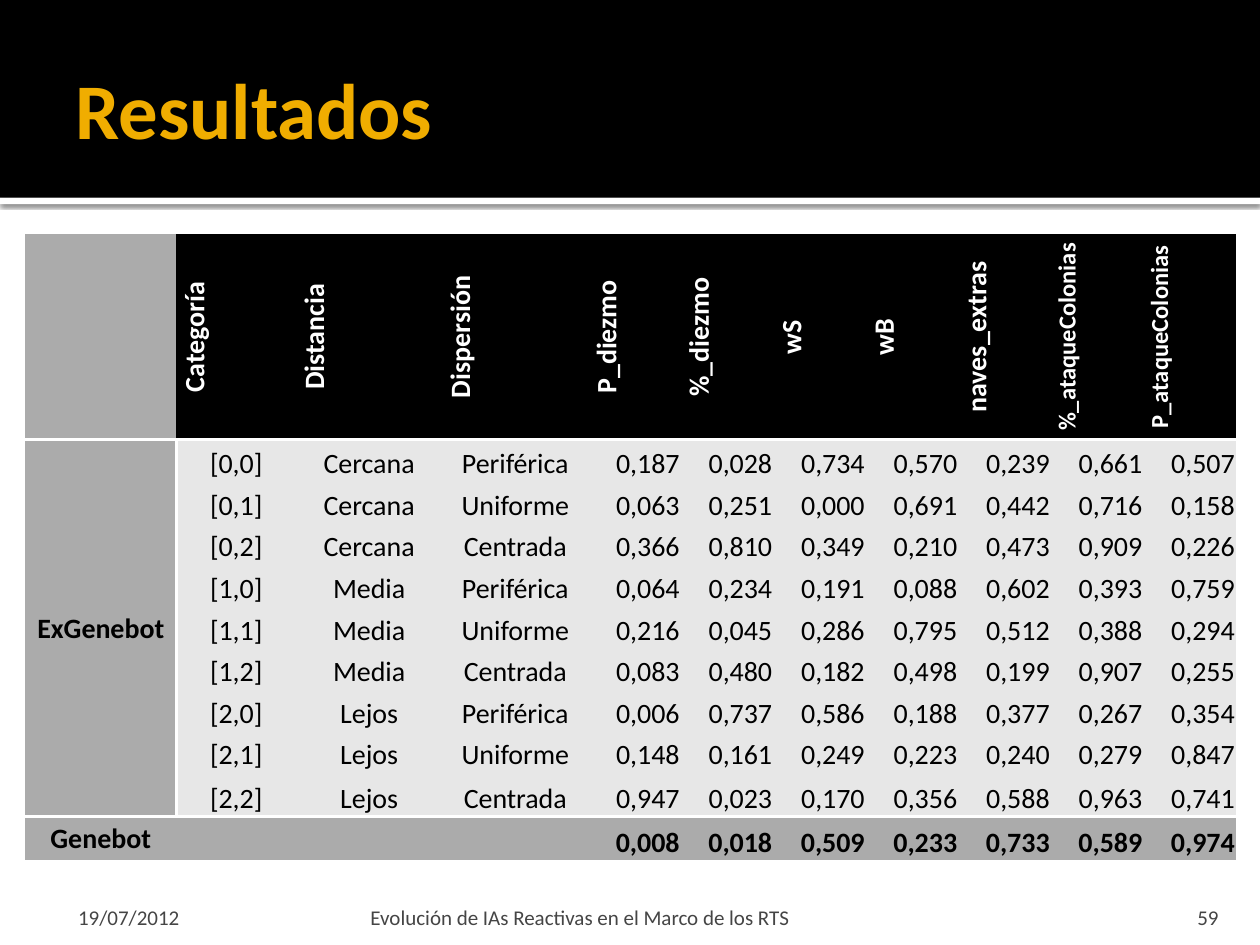
from lxml.etree import SubElement
from pptx import Presentation
from pptx.dml.color import RGBColor
from pptx.enum.shapes import MSO_SHAPE
from pptx.enum.text import MSO_ANCHOR, PP_ALIGN
from pptx.oxml.ns import qn
from pptx.util import Inches, Pt

FONT = "Calibri"
BLACK, WHITE, GOLD, FOOTER_GREY = "000000", "FFFFFF", "F0AD00", "454545"
LABEL_GREY, BODY_GREY = "ABABAB", "E7E7E7"
NO_STYLE = "{2D5ABB26-0587-4C30-8999-92F81FD0307C}"

# text, place, margins, size, colour, bold, anchor, alignment
TEXTS = [
    ("Resultados", (0.5, 0.17, 9, 1.37), (0.1, 0.05, 0.05, 0.05),
     45, GOLD, True, MSO_ANCHOR.MIDDLE, PP_ALIGN.LEFT),
    ("19/07/2012", (0.5, 7.08, 2.33, 0.3), (0.12, 0.05, 0.05, 0),
     12, FOOTER_GREY, False, MSO_ANCHOR.BOTTOM, PP_ALIGN.LEFT),
    ("Evolución de IAs Reactivas en el Marco de los RTS", (2.89, 7.08, 6.02, 0.3),
     (0.05, 0.05, 0.05, 0), 12, FOOTER_GREY, False, MSO_ANCHOR.BOTTOM, PP_ALIGN.LEFT),
    ("59", (8.97, 7.08, 0.8, 0.3), (0.1, 0.05, 0.1, 0),
     12, FOOTER_GREY, False, MSO_ANCHOR.BOTTOM, PP_ALIGN.RIGHT),
]

HEADERS = ["", "Categoría", "Distancia", "Dispersión", "P_diezmo", "%_diezmo", "wS", "wB",
           "naves_extras", "%_ataqueColonias", "P_ataqueColonias"]
DISTANCES = ["Cercana", "Media", "Lejos"]
DISPERSIONS = ["Periférica", "Uniforme", "Centrada"]
EXGENEBOT = [
    "0,187 0,028 0,734 0,570 0,239 0,661 0,507",
    "0,063 0,251 0,000 0,691 0,442 0,716 0,158",
    "0,366 0,810 0,349 0,210 0,473 0,909 0,226",
    "0,064 0,234 0,191 0,088 0,602 0,393 0,759",
    "0,216 0,045 0,286 0,795 0,512 0,388 0,294",
    "0,083 0,480 0,182 0,498 0,199 0,907 0,255",
    "0,006 0,737 0,586 0,188 0,377 0,267 0,354",
    "0,148 0,161 0,249 0,223 0,240 0,279 0,847",
    "0,947 0,023 0,170 0,356 0,588 0,963 0,741",
]
GENEBOT = "0,008 0,018 0,509 0,233 0,733 0,589 0,974"

TABLE_PLACE = (0.2, 1.86, 9.61, 4.96)
TEXT_WIDTHS = [1.2, 0.95, 1.16, 1.16]
VALUE_COLUMNS = 7
ROW_HEIGHTS = [1.63] + [0.33] * 8 + [0.35] * 2


def rgb(value):
    return RGBColor.from_string(value)


def write(frame, text, size, colour, bold, align):
    frame.text = text
    para = frame.paragraphs[0]
    para.alignment = align
    for span in para.runs:
        span.font.name, span.font.size, span.font.bold = FONT, Pt(size), bold
        span.font.color.rgb = rgb(colour)


def set_margins(target, margins):
    (target.margin_left, target.margin_top,
     target.margin_right, target.margin_bottom) = map(Inches, margins)


def add_band(page, top, height, colour):
    band = page.shapes.add_shape(MSO_SHAPE.RECTANGLE, 0, Inches(top), Inches(10), Inches(height))
    band.shadow.inherit = False
    band.fill.solid()
    band.fill.fore_color.rgb = rgb(colour)
    band.line.fill.background()
    return band


def add_soft_shadow(shape):
    effects = shape.element.spPr.find(qn("a:effectLst"))
    shadow = SubElement(effects, qn("a:outerShdw"), blurRad=str(Pt(2.5)), dist=str(Pt(0.8)),
                        dir="5400000", algn="t", rotWithShape="0")
    colour = SubElement(shadow, qn("a:srgbClr"), val=BLACK)
    SubElement(colour, qn("a:alpha"), val="60000")


def add_text(page, text, place, margins, size, colour, bold, anchor, align):
    box = page.shapes.add_textbox(*map(Inches, place))
    frame = box.text_frame
    frame.word_wrap = True
    frame.vertical_anchor = anchor
    set_margins(frame, margins)
    write(frame, text, size, colour, bold, align)


def add_border(cell, side):
    line = SubElement(cell._tc.get_or_add_tcPr(), qn(f"a:ln{side}"), w=str(Pt(2)))
    fill = SubElement(line, qn("a:solidFill"))
    SubElement(fill, qn("a:srgbClr"), val=WHITE)


def format_cell(cell, text, row, column):
    last = len(ROW_HEIGHTS) - 1
    header, label, total = row == 0, column == 0, row == last
    if label and 0 < row < last:
        add_border(cell, "R")
    if total:
        add_border(cell, "T")
    if header:
        add_border(cell, "B")
        if text:
            cell._tc.get_or_add_tcPr().set("vert", "vert270")
    cell.fill.solid()
    cell.fill.fore_color.rgb = rgb(
        LABEL_GREY if label or total else BLACK if header else BODY_GREY)
    cell.vertical_anchor = MSO_ANCHOR.MIDDLE if header or label else MSO_ANCHOR.BOTTOM
    set_margins(cell, (0.01, 0.01, 0.01, 0))
    is_value = not header and column >= len(TEXT_WIDTHS)
    write(cell.text_frame, text, 14 if "ataque" in text else 16,
          WHITE if header else BLACK, header or label or total,
          PP_ALIGN.RIGHT if is_value else PP_ALIGN.CENTER)


def result_rows():
    rows = [HEADERS]
    for index, values in enumerate(EXGENEBOT):
        far, spread = divmod(index, 3)
        rows.append(["" if index else "ExGenebot", f"[{far},{spread}]",
                     DISTANCES[far], DISPERSIONS[spread], *values.split()])
    return rows + [["Genebot", "", "", "", *GENEBOT.split()]]


def add_results(page):
    rows = result_rows()
    frame = page.shapes.add_table(len(rows), len(HEADERS), *map(Inches, TABLE_PLACE))
    frame.element.find(".//" + qn("a:tableStyleId")).text = NO_STYLE
    table = frame.table
    value_width = (TABLE_PLACE[2] - sum(TEXT_WIDTHS)) / VALUE_COLUMNS
    for column, width in zip(table.columns, TEXT_WIDTHS + [value_width] * VALUE_COLUMNS):
        column.width = Inches(width)
    for row, height in zip(table.rows, ROW_HEIGHTS):
        row.height = Inches(height)
    for row, texts in enumerate(rows):
        for column, text in enumerate(texts):
            format_cell(table.cell(row, column), text, row, column)
    table.cell(1, 0).merge(table.cell(len(EXGENEBOT), 0))


def main():
    deck = Presentation()
    deck.slide_width, deck.slide_height = Inches(10), Inches(7.5)
    page = deck.slides.add_slide(deck.slide_layouts[6])
    add_soft_shadow(add_band(page, 1.57, 0.05, WHITE))
    add_band(page, 0, 1.57, BLACK)
    for item in TEXTS:
        add_text(page, *item)
    add_results(page)
    deck.save("out.pptx")


if __name__ == "__main__":
    main()
